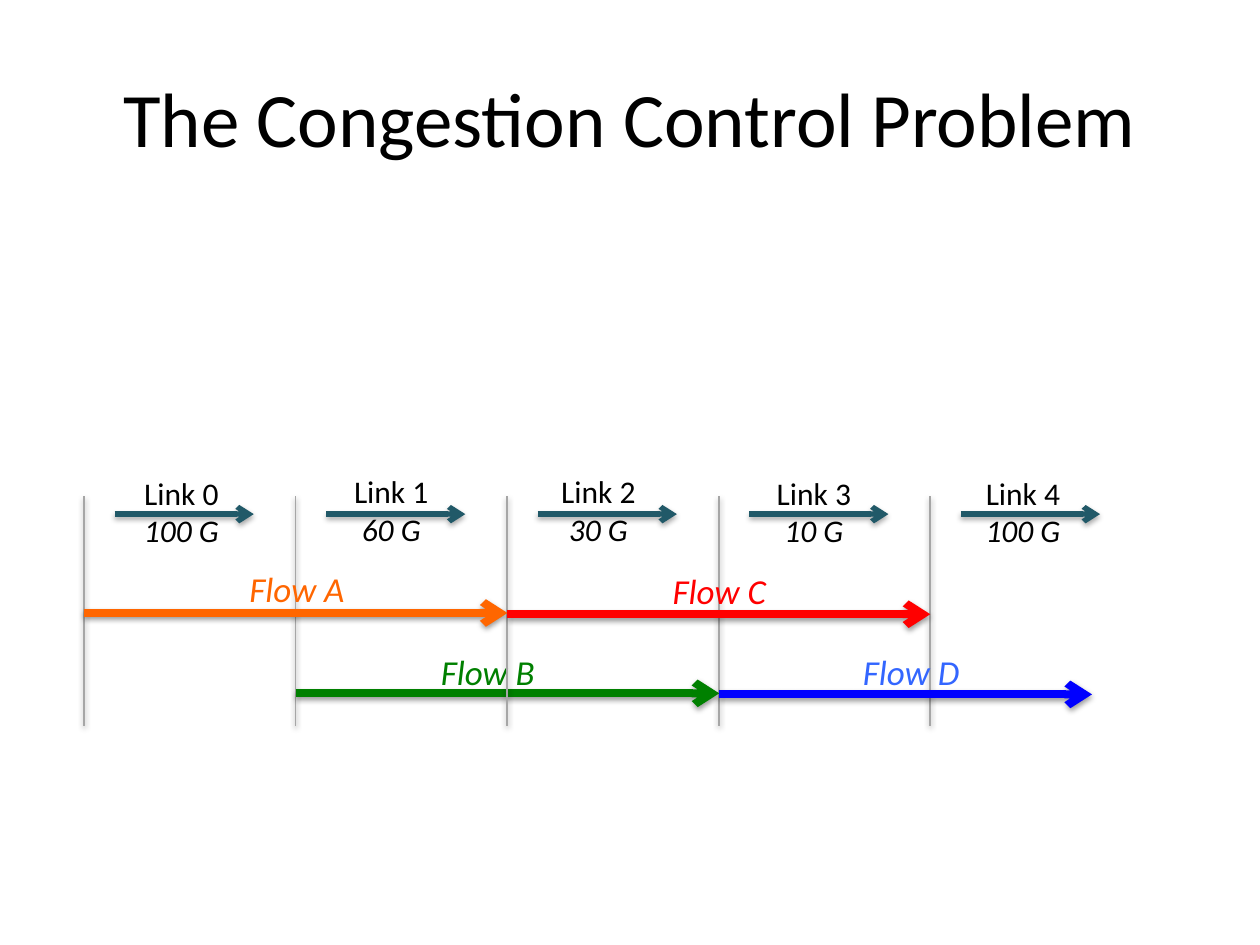
from lxml import etree
from pptx import Presentation
from pptx.dml.color import RGBColor as Rgb
from pptx.enum.shapes import MSO_CONNECTOR as Conn
from pptx.enum.text import MSO_ANCHOR as Anchor, PP_ALIGN as Align
from pptx.oxml import parse_xml
from pptx.oxml.ns import nsdecls, qn
from pptx.util import Pt

COLORS = {
    "text": "000000", "edge": "A6A6A6", "link": "215968",
    "A": "FF6600", "B": "008000", "C": "FF0000", "D": "0000FF",
    "D text": "3366FF",
}
LEFT, STEP = 48, 120.9
LINKS = [
    ("Link 0", "100 G", 103.7, 267.1),
    ("Link 1", "60 G", 223.6, 266.1),
    ("Link 2", "30 G", 342, 266.1),
    ("Link 3", "10 G", 465.1, 267.1),
    ("Link 4", "100 G", 584.6, 267.1),
]
FLOWS = [
    ("B", (1, 3), 169, 411, 396.2, 244.8, 368),
    ("A", (0, 2), 48, 290, 350.3, 135.4, 320.6),
    ("C", (4,), 290, 531.6, 351, 377.3, 322),
    ("D", (), 411, 624, 396.8, 486, 368.2),
]


def add_line(slide, start, end, color, width, head=False, alpha=38, dist=1.57):
    line = slide.shapes.add_connector(Conn.STRAIGHT, *map(Pt, start + end))
    line.line.color.rgb = Rgb.from_string(COLORS[color])
    line.line.width = Pt(width)
    if head:
        etree.SubElement(line.line._get_or_add_ln(), qn("a:tailEnd"), type="arrow")
    line._element.spPr.append(parse_xml(
        f'<a:effectLst {nsdecls("a")}><a:outerShdw blurRad="{Pt(3.15)}" '
        f'dist="{Pt(dist)}" dir="5400000" rotWithShape="0">'
        f'<a:srgbClr val="000000"><a:alpha val="{alpha * 1000}"/></a:srgbClr>'
        '</a:outerShdw></a:effectLst>'))


def set_font(para, size, color, slant=False):
    font = para.font
    font.name = "Calibri"
    font.size = Pt(size)
    font.italic = slant
    font.color.rgb = Rgb.from_string(COLORS[color])


def add_text(slide, box, rows, size, color, align):
    frame = slide.shapes.add_textbox(*map(Pt, box)).text_frame
    frame.word_wrap = True
    frame.text = "\n".join(text for text, _ in rows)
    for para, (_, slant) in zip(frame.paragraphs, rows):
        para.alignment = align
        set_font(para, size, color, slant)


def add_title(slide, text):
    title = slide.shapes.title
    title.left, title.top, title.width, title.height = map(Pt, (36, 21.6, 648, 90))
    frame = title.text_frame
    frame.text = text
    frame.vertical_anchor = Anchor.MIDDLE
    para = frame.paragraphs[0]
    para.alignment = Align.CENTER
    set_font(para, 44, "text")


def add_edge(slide, index):
    x = LEFT + STEP * index
    add_line(slide, (x, 283.7), (x, 414.7), "edge", 1)


def add_flow(slide, name, start, end, y, left, top):
    add_line(slide, (start, y), (end, y), name, 4.5, head=True)
    color = "D text" if name == "D" else name
    add_text(slide, (left, top, 100, 31.5), [(f"Flow {name}", True)],
             20, color, Align.LEFT)


def add_link(slide, index, name, rate, mid, top):
    x = LEFT + 17.5 + STEP * index
    add_text(slide, (mid - 75.6, top, 151.2, 51), [(name, False), (rate, True)],
             18, "text", Align.CENTER)
    add_line(slide, (x, 293.8), (x + 79.5, 293.8), "link", 3,
             head=True, alpha=35, dist=1.81)


def main():
    deck = Presentation()
    deck.slide_width, deck.slide_height = Pt(720), Pt(540)
    slide = deck.slides.add_slide(deck.slide_layouts[5])
    add_title(slide, "The Congestion Control Problem")
    for name, edges, *place in FLOWS:
        for index in edges:
            add_edge(slide, index)
        add_flow(slide, name, *place)
    for index, link in enumerate(LINKS):
        add_link(slide, index, *link)
    deck.save("out.pptx")


if __name__ == "__main__":
    main()
